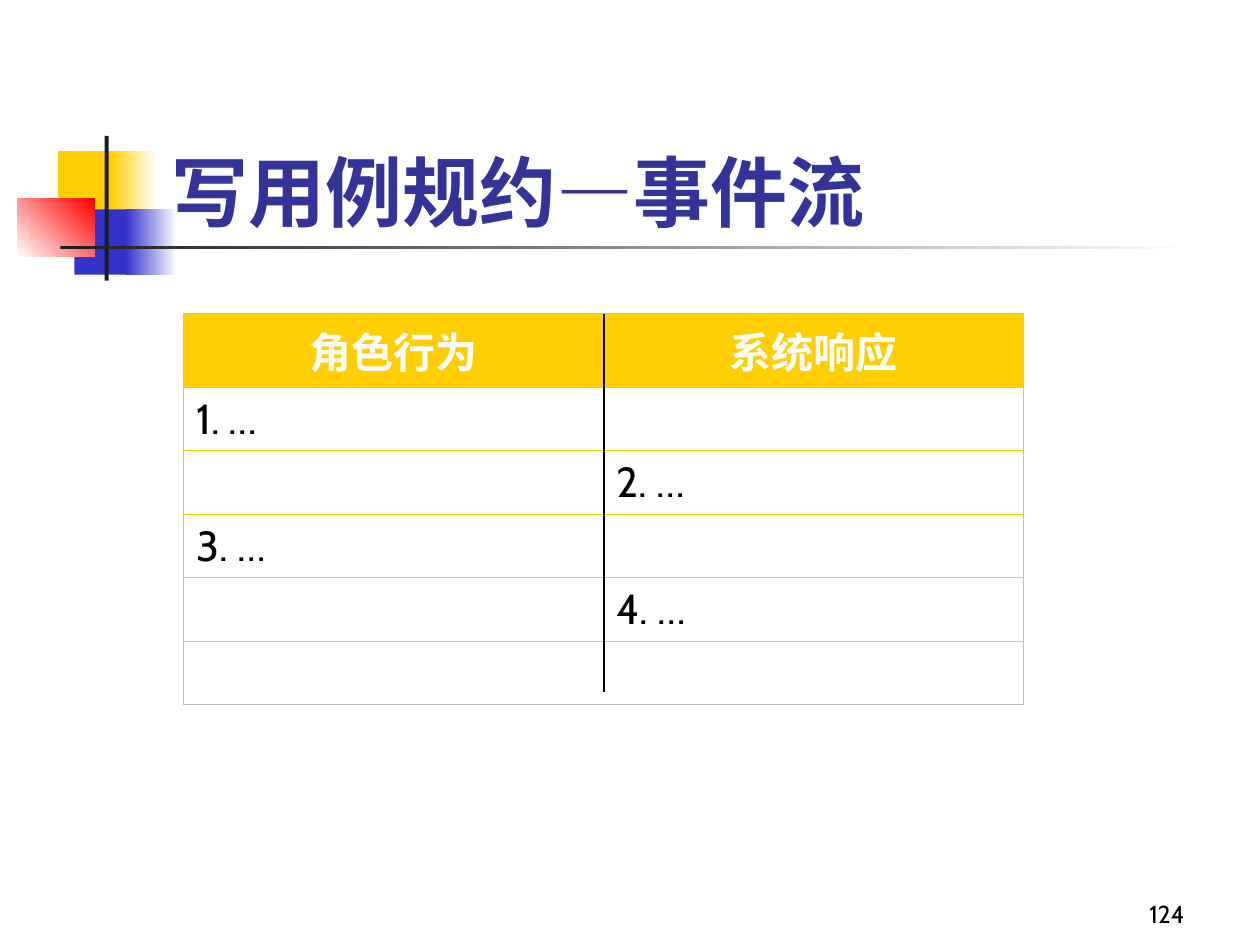
from dataclasses import dataclass

from lxml.etree import SubElement
from pptx import Presentation
from pptx.dml.color import RGBColor
from pptx.enum.shapes import MSO_CONNECTOR, MSO_SHAPE
from pptx.enum.text import MSO_ANCHOR as ANCHOR, PP_ALIGN as ALIGN
from pptx.oxml.ns import qn
from pptx.util import Cm, Pt


@dataclass(frozen=True)
class Theme:
    font: str = "Cabin"
    white: str = "FFFFFF"
    black: str = "000000"
    dark: str = "1C1C1C"
    yellow: str = "FFCF01"
    blue: str = "3333CC"
    red: str = "FF0000"
    title: str = "333399"
    rule: str = "FACB00"
    edge: str = "C0C0C0"
    title_size: int = 44
    table_size: int = 24
    number_size: int = 14


T = Theme()
rgb = RGBColor.from_string

ROWS = [
    ("角色行为", "系统响应"),
    ("1. …", ""),
    ("", "2. …"),
    ("3. …", ""),
    ("", "4. …"),
    ("", ""),
]


def write(tf, text, size, color, bold=False, align=ALIGN.LEFT):
    p = tf.paragraphs[0]
    p.alignment = align
    r = p.add_run()
    r.text = text
    r.font.name = T.font
    r.font.size = Pt(size)
    r.font.bold = bold
    r.font.color.rgb = rgb(color)


def add_text(slide, box, text, **fmt):
    tf = slide.shapes.add_textbox(*map(Cm, box)).text_frame
    tf.word_wrap = True
    tf.vertical_anchor = ANCHOR.BOTTOM
    write(tf, text, **fmt)


def add_block(slide, box, color, end=None, angle=0):
    """Add a borderless rectangle, fading from color to end if end is given."""
    sp = slide.shapes.add_shape(MSO_SHAPE.RECTANGLE, *map(Cm, box))
    sp.shadow.inherit = False
    sp.line.fill.background()
    if end is None:
        sp.fill.solid()
        sp.fill.fore_color.rgb = rgb(color)
        return
    sp.fill.gradient()
    sp.fill.gradient_angle = angle
    for stop, value in zip(sp.fill.gradient_stops, (color, end)):
        stop.color.rgb = rgb(value)


def add_ornament(slide):
    add_block(slide, (1.17, 3.05, 1.22, 1.32), T.yellow)
    add_block(slide, (2.23, 3.05, 0.92, 1.32), T.yellow, T.white)
    add_block(slide, (1.5, 4.22, 1.17, 1.32), T.blue)
    add_block(slide, (2.54, 4.22, 1.02, 1.32), T.blue, T.white)
    add_block(slide, (0.35, 4.01, 1.55, 1.17), T.white, T.red, angle=45)
    add_block(slide, (2.11, 2.74, 0.08, 2.92), T.dark)
    add_block(slide, (1.22, 4.95, 22.86, 0.08), T.dark, T.white)


def set_borders(cell, **colors):
    """Set the borders L, R, T and B in that order; None hides one."""
    tc_pr = cell._tc.get_or_add_tcPr()
    for side in "LRTB":
        ln = SubElement(tc_pr, qn(f"a:ln{side}"), w=str(Pt(0.75)))
        color = colors[side]
        if color is None:
            SubElement(ln, qn("a:noFill"))
        else:
            fill = SubElement(ln, qn("a:solidFill"))
            SubElement(fill, qn("a:srgbClr"), val=color)


def add_flow_table(slide):
    header_h, row_h = Cm(1.49), Cm(1.28)
    last = len(ROWS) - 1
    table = slide.shapes.add_table(
        len(ROWS), 2, Cm(3.7), Cm(6.32), Cm(16.94), header_h + last * row_h
    ).table
    for i, texts in enumerate(ROWS):
        header = i == 0
        table.rows[i].height = header_h if header else row_h
        side = T.rule if header else T.edge
        for j, text in enumerate(texts):
            cell = table.cell(i, j)
            set_borders(
                cell,
                L=side if j == 0 else None,
                R=side if j == 1 else None,
                T=T.rule,
                B=T.edge if i == last else T.rule,
            )
            cell.fill.solid()
            cell.fill.fore_color.rgb = rgb(T.yellow if header else T.white)
            if text:
                write(
                    cell.text_frame, text, T.table_size,
                    T.white if header else T.black, bold=header,
                    align=ALIGN.CENTER if header else ALIGN.LEFT,
                )


def add_divider(slide):
    x = Cm(12.17)
    line = slide.shapes.add_connector(
        MSO_CONNECTOR.STRAIGHT, x, Cm(6.32), x, Cm(13.94)
    )
    line.line.color.rgb = rgb(T.black)
    line.line.width = Pt(1)
    SubElement(line._element.spPr, qn("a:effectLst"))


def main():
    prs = Presentation()
    prs.slide_width, prs.slide_height = Cm(25.4), Cm(19.05)
    slide = prs.slides.add_slide(prs.slide_layouts[6])
    add_ornament(slide)
    add_text(slide, (3.2, 1.73, 21.64, 3.17), "写用例规约—事件流",
             size=T.title_size, color=T.title, bold=True)
    add_text(slide, (18.85, 17.58, 5.28, 1.27), "124",
             size=T.number_size, color=T.black, align=ALIGN.RIGHT)
    add_flow_table(slide)
    add_divider(slide)
    prs.save("out.pptx")


if __name__ == "__main__":
    main()
